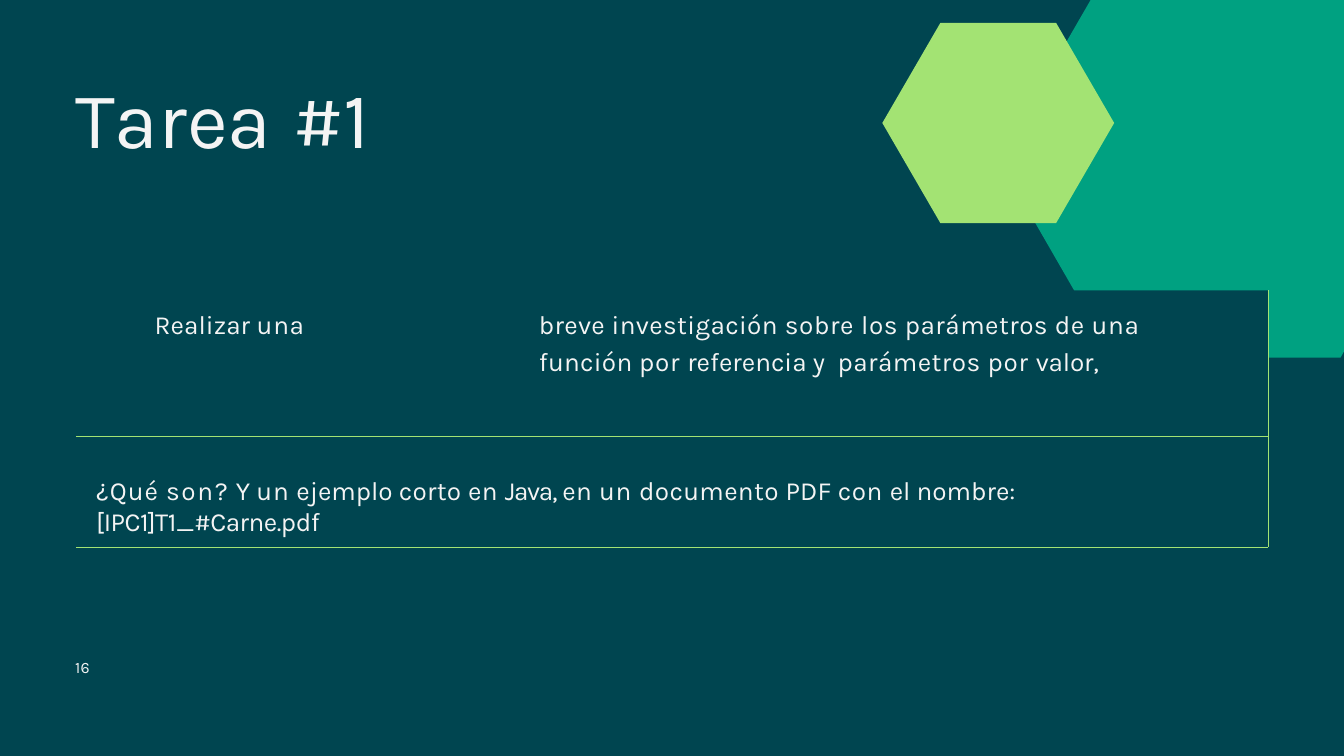
from lxml import etree
from pptx import Presentation
from pptx.dml.color import RGBColor
from pptx.enum.shapes import MSO_CONNECTOR, MSO_SHAPE
from pptx.oxml.ns import qn
from pptx.util import Inches, Pt

LINE = MSO_CONNECTOR.STRAIGHT
RECT = MSO_SHAPE.RECTANGLE
HEX = MSO_SHAPE.HEXAGON

DARK = RGBColor(0x00, 0x45, 0x50)
TEAL = RGBColor(0x00, 0xA1, 0x81)
LIME = RGBColor(0xA3, 0xE3, 0x73)
PALE = RGBColor(0xF4, 0xF4, 0xF4)
FONT = "Karla"

# Runs: text and letter spacing in points
TITLE = [("T", -3.2), ("a", -0.8), ("r", -0.5), ("e", -0.6), ("a ", 1.6),
         ("#", -0.5), ("1", -6.3)]
TASK = [("Realizar ", 0.1), ("una\t", 0.8), ("breve ", 0.3),
        ("investigación ", 0.4), ("sobre ", 0.7), ("los ", 0.6),
        ("parámetros de ", 0.55), ("una ", 0.8), ("función ", 0.3),
        ("por ", 0.8), ("referencia ", 0), ("y", 0.3), (" ", 6.5),
        ("parámetros ", 0.55), ("por ", 0.8), ("valor,", -0.2)]
DETAIL = [("¿Qué ", 1), ("son?", 1.8), (" ", -1.4), ("Y ", 0.1), ("un ", 0.8),
          ("ejemplo ", 0), ("corto ", 0.3), ("en ", 0.5), ("Java, ", -1.4),
          ("en ", 0.5), ("un ", 0.8), ("documento ", 0.4), ("PDF ", 0.2),
          ("con ", 0.6), ("el nombre:", 0), ("\n", 0),
          ("[IPC1]T1_#Carne.pdf", -0.5)]
NUMBER = [("1", -1.6), ("6", 0.1)]

CORNER = [(19.95, 5.32), (16.56, 5.32), (14.86, 2.37), (16.23, 0), (20, 0),
          (20, 5.23)]
WIDE, HIGH = 20, 11.25
LEFT, RIGHT, TOP, MID, BASE = 1.13, 18.87, 4.32, 6.49, 8.14
RULES = [(RIGHT, TOP, RIGHT, BASE), (LEFT, MID, RIGHT, MID),
         (LEFT, BASE, RIGHT, BASE)]


def paint(shape, color):
    shape.shadow.inherit = False
    shape.fill.solid()
    shape.fill.fore_color.rgb = color
    shape.line.fill.background()


def block(slide, kind, box, color):
    shape = slide.shapes.add_shape(kind, *map(Inches, box))
    paint(shape, color)
    return shape


def rule(slide, ends):
    line = slide.shapes.add_connector(LINE, *map(Inches, ends))
    line.line.color.rgb = LIME
    line.line.width = Pt(0.75)
    etree.SubElement(line._element.spPr, qn("a:effectLst"))


def write(slide, box, runs, size, inset=0.02):
    """Add a text box of one paragraph and return the paragraph."""
    frame = slide.shapes.add_textbox(*map(Inches, box)).text_frame
    frame.word_wrap = True
    frame.margin_left = frame.margin_right = frame.margin_bottom = 0
    frame.margin_top = Inches(inset)
    para = frame.paragraphs[0]
    for text, gap in runs:
        if text == "\n":
            para.add_line_break()
            continue
        run = para.add_run()
        run.text = text
        run._r.get_or_add_rPr().set("spc", str(round(gap * 100)))
    para.font.name = FONT
    para.font.size = Pt(size)
    para.font.color.rgb = PALE
    return para


def hang(para, indent, stop):
    """Hang the first line at the left edge and add a tab stop."""
    props = para._p.get_or_add_pPr()
    props.set("marL", str(Inches(indent)))
    props.set("indent", str(-Inches(indent)))
    tabs = etree.Element(qn("a:tabLst"))
    etree.SubElement(tabs, qn("a:tab"), pos=str(Inches(stop)), algn="l")
    props.find(qn("a:defRPr")).addprevious(tabs)


def main():
    deck = Presentation()
    deck.slide_width, deck.slide_height = Inches(WIDE), Inches(HIGH)
    slide = deck.slides.add_slide(deck.slide_layouts[6])
    block(slide, RECT, (0, 0, WIDE, HIGH), DARK)

    points = [(Inches(x), Inches(y)) for x, y in CORNER]
    pen = slide.shapes.build_freeform(*points[0])
    pen.add_line_segments(points[1:], close=True)
    paint(pen.convert_to_shape(), TEAL)

    small = block(slide, HEX, (13.13, 0.34, 3.45, 2.98), LIME)
    small.adjustments[0] = 0.29
    block(slide, RECT, (LEFT, TOP, RIGHT - LEFT, BASE - TOP), DARK)

    task = write(slide, (2.3, 4.5, 15.41, 1.11), TASK, 28)
    hang(task, 5.72, 2.4)
    task.line_spacing = 1.16
    write(slide, (1.43, 7.04, 17.14, 0.49), DETAIL, 28)
    for ends in RULES:
        rule(slide, ends)
    write(slide, (1.12, 1.01, 4.44, 1.44), TITLE, 85)
    number = write(slide, (1.12, 9.79, 0.26, 0.31), NUMBER, 17, 0)
    number.line_spacing = Pt(20.3)
    deck.save("out.pptx")


if __name__ == "__main__":
    main()
